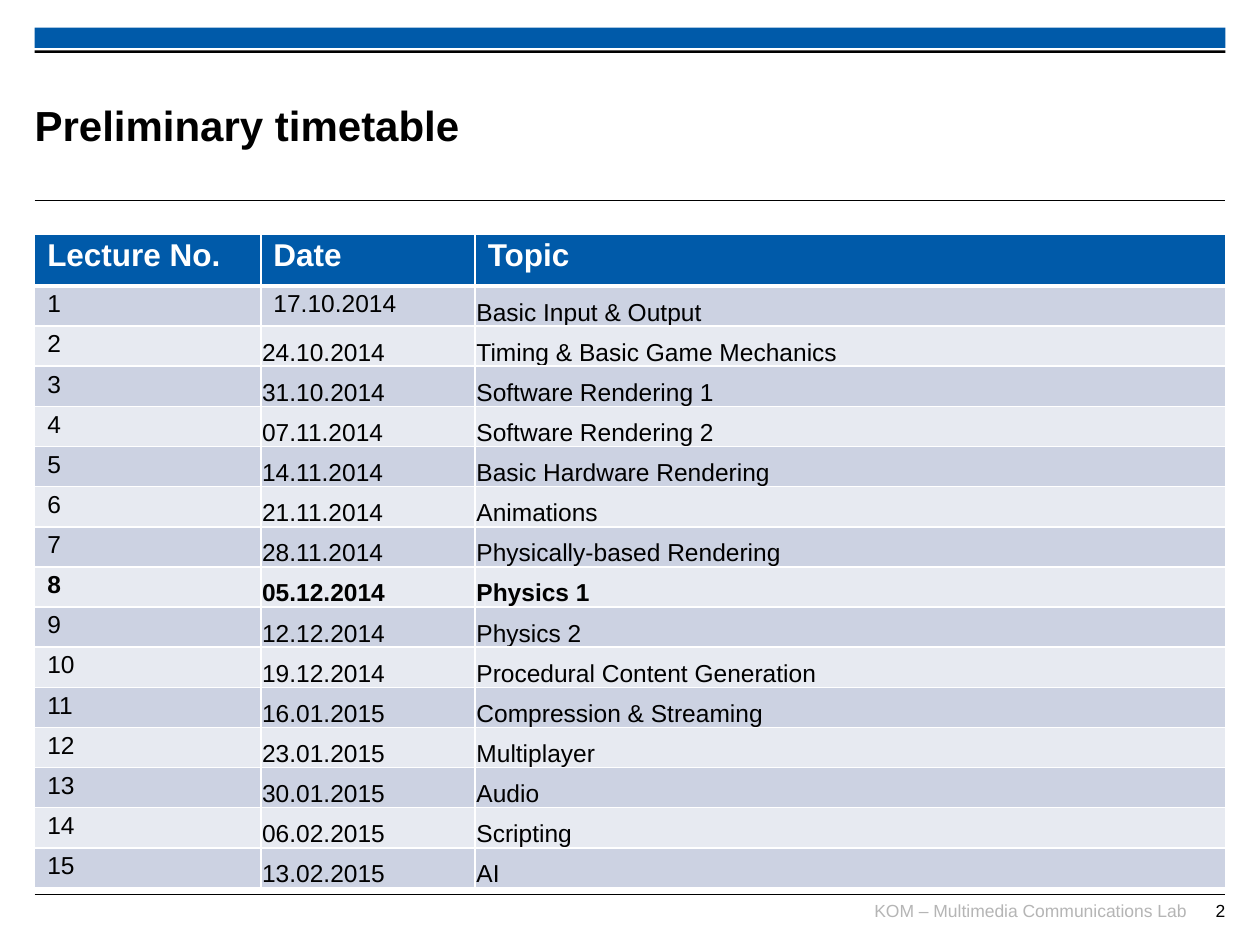
from lxml import etree
from pptx import Presentation, util as u
from pptx.dml.color import RGBColor
from pptx.enum import shapes, text
from pptx.oxml import ns

BLUE = RGBColor(0x00, 0x5A, 0xA9)
BLACK = RGBColor(0x00, 0x00, 0x00)
WHITE = RGBColor(0xFF, 0xFF, 0xFF)
GRAY = RGBColor(0xB5, 0xB5, 0xB5)
DARK = RGBColor(0xCC, 0xD2, 0xE2)
LIGHT = RGBColor(0xE7, 0xEA, 0xF1)

COLS, ROWS = 100, 75
UNIT = u.Inches(10) // COLS
LEFT, WIDTH = 2.75, 94.5
HEAD = 4.1
SHARES = (0.19, 0.18, 0.63)
BOLD = 8
FIELDS = ("Lecture No.", "Date", "Topic")
PLAN = (
    ("17.10.2014", "Basic Input & Output"),
    ("24.10.2014", "Timing & Basic Game Mechanics"),
    ("31.10.2014", "Software Rendering 1"),
    ("07.11.2014", "Software Rendering 2"),
    ("14.11.2014", "Basic Hardware Rendering"),
    ("21.11.2014", "Animations"),
    ("28.11.2014", "Physically-based Rendering"),
    ("05.12.2014", "Physics 1"),
    ("12.12.2014", "Physics 2"),
    ("19.12.2014", "Procedural Content Generation"),
    ("16.01.2015", "Compression & Streaming"),
    ("23.01.2015", "Multiplayer"),
    ("30.01.2015", "Audio"),
    ("06.02.2015", "Scripting"),
    ("13.02.2015", "AI"),
)


def grid(*cells):
    return [round(cell * UNIT) for cell in cells]


def style(para, size, color, bold=False):
    for run in para.runs:
        run.font.name = "Arial"
        run.font.size = u.Pt(size)
        run.font.bold = bold
        run.font.color.rgb = color


def bar(slide, box, color):
    rect = slide.shapes.add_shape(shapes.MSO_SHAPE.RECTANGLE, *grid(*box))
    rect.shadow.inherit = False
    rect.fill.solid()
    rect.fill.fore_color.rgb = color
    rect.line.fill.background()


def rule(slide, x, y, width):
    line = slide.shapes.add_connector(
        shapes.MSO_CONNECTOR.STRAIGHT, *grid(x, y, x + width, y))
    line.line.color.rgb = BLACK
    line.line.width = u.Pt(0.6)
    etree.SubElement(line._element.spPr, ns.qn("a:effectLst"))


def label(slide, box, words, size, color, align, bold=False):
    frame = slide.shapes.add_textbox(*grid(*box)).text_frame
    frame.word_wrap = True
    frame.margin_left = frame.margin_right = 0
    frame.margin_top = frame.margin_bottom = 0
    if bold:
        frame.vertical_anchor = text.MSO_ANCHOR.MIDDLE
    frame.text = words
    para = frame.paragraphs[0]
    para.alignment = align
    style(para, size, color, bold)


def banner(slide, box):
    x, y, width, height = box
    bar(slide, (x, y, width, height * 0.8), BLUE)
    bar(slide, (x, y + height * 0.9, width, height * 0.1), BLACK)


def title(slide, box):
    x, y, width, height = box
    label(slide, (x, y, width * 0.8, height - 1.4), "Preliminary timetable",
          24, BLACK, text.PP_ALIGN.LEFT, True)
    rule(slide, x, y + height, width)


def border(cell, sides, points):
    props = cell._tc.get_or_add_tcPr()
    for side in sides:
        edge = etree.SubElement(props, ns.qn("a:ln" + side))
        edge.set("w", str(u.Pt(points[side])))
        fill = etree.SubElement(edge, ns.qn("a:solidFill"))
        etree.SubElement(fill, ns.qn("a:srgbClr")).set("val", str(WHITE))


def timetable(slide, box):
    data = [FIELDS] + [(str(n), *row) for n, row in enumerate(PLAN, 1)]
    table = slide.shapes.add_table(len(data), len(FIELDS), *grid(*box)).table
    for col, share in zip(table.columns, SHARES):
        col.width = round(box[2] * share * UNIT)
    step = (box[3] - HEAD) / len(PLAN)
    for r, row in enumerate(data):
        table.rows[r].height = round((step if r else HEAD) * UNIT)
        for c, words in enumerate(row):
            cell = table.cell(r, c)
            border(cell, "LRTB", {"L": 1, "R": 1, "T": 3 if r == 1 else 1,
                                  "B": 1 if r else 3})
            cell.fill.solid()
            cell.fill.fore_color.rgb = (DARK if r % 2 else LIGHT) if r else BLUE
            if r and c and (r, c) != (1, 1):
                cell.vertical_anchor = text.MSO_ANCHOR.BOTTOM
                cell.margin_left = cell.margin_right = u.Inches(0.01)
                cell.margin_top, cell.margin_bottom = u.Inches(0.01), 0
            cell.text_frame.text = words
            para = cell.text_frame.paragraphs[0]
            para.alignment = text.PP_ALIGN.LEFT
            para.line_spacing = 0.93
            style(para, 14 if r else 18, BLACK if r else WHITE, r in (0, BOLD))


def footer(slide, box):
    x, y, width, height = box
    right = text.PP_ALIGN.RIGHT
    rule(slide, x, y, width)
    top, deep = y + 0.4, height - 0.4
    label(slide, (x + width - 29.1, top, 26, deep),
          "KOM – Multimedia Communications Lab", 10, GRAY, right)
    label(slide, (x + width - 3, top, 3, deep), "2", 10, BLACK, right)


def main():
    deck = Presentation()
    deck.slide_width, deck.slide_height = grid(COLS, ROWS)
    slide = deck.slides.add_slide(deck.slide_layouts[6])
    banner(slide, (LEFT, 2.2, WIDTH, 2))
    title(slide, (LEFT, 5.3, WIDTH, 10.6))
    timetable(slide, (LEFT, 18.6, WIDTH, 51.9))
    footer(slide, (LEFT, 71, WIDTH, 2.8))
    deck.save("out.pptx")


if __name__ == "__main__":
    main()
